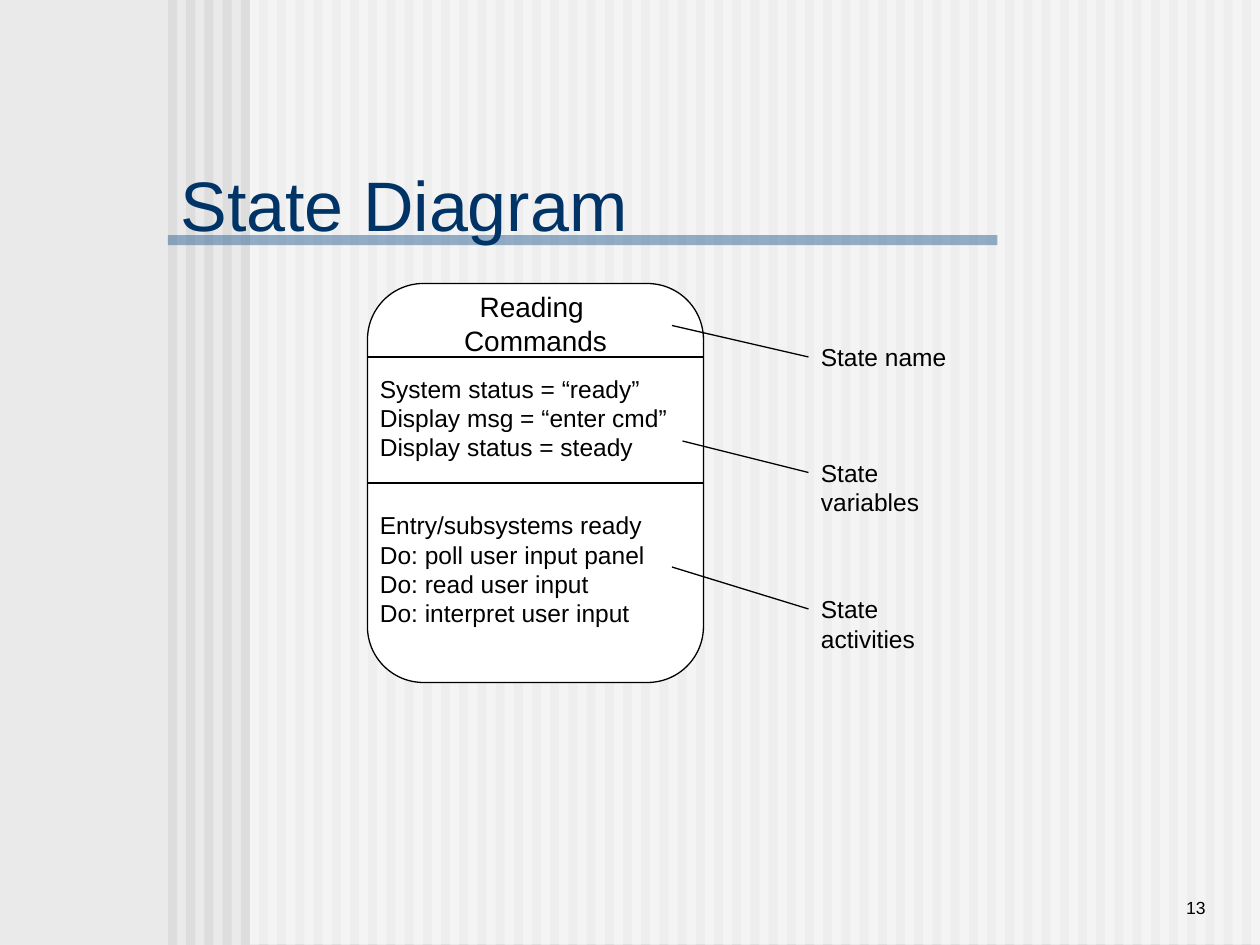
"""Build the State Diagram slide: a three-part state box with labelled callouts."""
from lxml import etree
from pptx import Presentation
from pptx.dml.color import RGBColor
from pptx.enum import shapes, text
from pptx.oxml import ns
from pptx.util import Pt

THEME = {
    "font": "Arial", "bg": "EAEAEA", "stripe": "DDDDDD", "panel": "FFFFFF", "rule": "336699",
    "title": "003366", "ink": "000000", "line": 0.75,
    "sizes": {"title": 40, "state": 16, "body": 14, "number": 10},
}
SLIDE = (720, 540)
STRIPES = {"left": 96, "pitch": 10.4, "width": 5.2, "count": 60}
PANEL = (142.8, -0.5, 577.2, 540)
RULE = (96, 134.4, 474, 5.7)
STATE_BOX = (210, 162, 192, 228)
DIVIDERS = [204, 276]
CALLOUT_LEFT = 462

LEFT, CENTER, RIGHT = text.PP_ALIGN.LEFT, text.PP_ALIGN.CENTER, text.PP_ALIGN.RIGHT
TOP, BOTTOM = text.MSO_ANCHOR.TOP, text.MSO_ANCHOR.BOTTOM

HEADINGS = [
    (["13"], (594, 492, 102, 36), "number", RIGHT, BOTTOM),
    (["State Diagram"], (96, 90, 342, 54), "title", LEFT, BOTTOM),
]
STATE_TEXTS = [
    (["Reading ", "Commands"], (258, 162, 96, 46), "state", CENTER, TOP),
    (["System status = “ready”", "Display msg = “enter cmd”", "Display status = steady"],
     (210, 210, 186, 58), "body", LEFT, TOP),
    (["Entry/subsystems ready", "Do: poll user input panel", "Do: read user input",
      "Do: interpret user input"], (210, 288, 186, 91), "body", LEFT, TOP),
]
CALLOUTS = [
    ("State name", 192, 86, (384, 186)),
    ("State variables", 258, 107, (390, 252)),
    ("State activities", 336, 104, (384, 324)),
]


def rgb(name):
    return RGBColor.from_string(THEME[name])


def add_block(sl, box, fill, kind=shapes.MSO_SHAPE.RECTANGLE, alpha=None, line=None):
    sp = sl.shapes.add_shape(kind, *map(Pt, box))
    sp.shadow.inherit = False
    sp.fill.solid()
    sp.fill.fore_color.rgb = rgb(fill)
    if line:
        sp.line.color.rgb, sp.line.width = rgb(line), Pt(THEME["line"])
    else:
        sp.line.fill.background()
    if alpha:
        color = sp._element.spPr.find(".//" + ns.qn("a:srgbClr"))
        etree.SubElement(color, ns.qn("a:alpha"), val=str(alpha * 1000))


def add_line(sl, start, end):
    cx = sl.shapes.add_connector(shapes.MSO_CONNECTOR.STRAIGHT, *map(Pt, start + end))
    cx.line.color.rgb, cx.line.width = rgb("ink"), Pt(THEME["line"])
    etree.SubElement(cx._element.spPr, ns.qn("a:effectLst"))


def add_text(sl, lines, box, role, align=LEFT, anchor=TOP, wrap=True):
    tf = sl.shapes.add_textbox(*map(Pt, box)).text_frame
    tf.word_wrap, tf.vertical_anchor = wrap, anchor
    font = {"name": THEME["font"], "size": Pt(THEME["sizes"][role])}
    for i, words in enumerate(lines):
        p = tf.add_paragraph() if i else tf.paragraphs[0]
        p.alignment = align
        r = p.add_run()
        r.text = words
        for key, value in font.items():
            setattr(r.font, key, value)
        r.font.color.rgb = rgb("title" if role == "title" else "ink")


def main():
    prs = Presentation()
    prs.slide_width, prs.slide_height = map(Pt, SLIDE)
    sl = prs.slides.add_slide(prs.slide_layouts[6])
    sl.background.fill.solid()
    sl.background.fill.fore_color.rgb = rgb("bg")

    for i in range(STRIPES["count"]):
        left = STRIPES["left"] + i * STRIPES["pitch"]
        add_block(sl, (left, 0, STRIPES["width"], SLIDE[1]), "stripe")
    add_block(sl, PANEL, "panel", alpha=50)
    add_block(sl, RULE, "rule", alpha=50)
    for heading in HEADINGS:
        add_text(sl, *heading)

    add_block(sl, STATE_BOX, "panel", shapes.MSO_SHAPE.ROUNDED_RECTANGLE, line="ink")
    left, _, width, _ = STATE_BOX
    for y in DIVIDERS:
        add_line(sl, (left, y), (left + width, y))
    for block in STATE_TEXTS:
        add_text(sl, *block)
    for label, top, width, target in CALLOUTS:
        add_text(sl, [label], (CALLOUT_LEFT, top, width, 24.5), "body", wrap=False)
        add_line(sl, (CALLOUT_LEFT, top + 12), target)
    prs.save("out.pptx")


if __name__ == "__main__":
    main()
